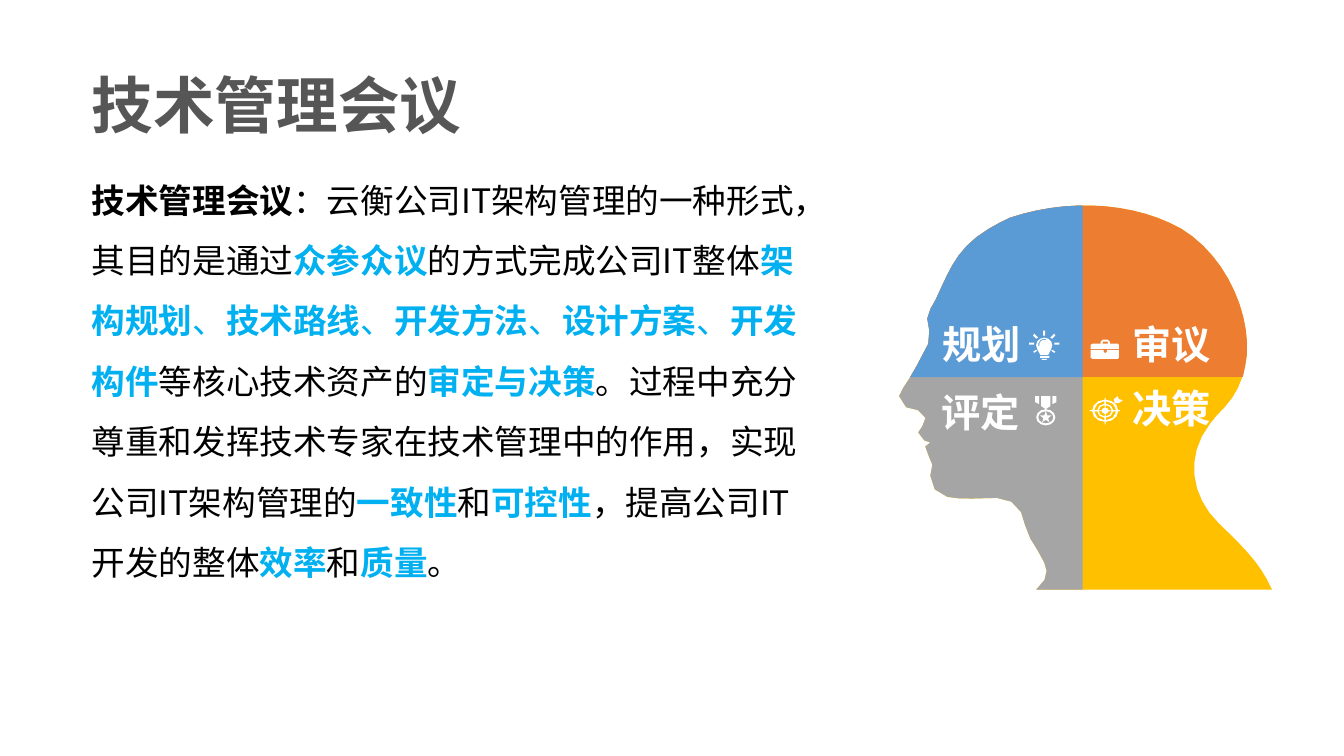
from math import cos, hypot, radians, sin

from lxml import etree
from pptx import Presentation
from pptx.dml.color import RGBColor
from pptx.enum.text import MSO_ANCHOR as Anchor, MSO_AUTO_SIZE as AutoSize, PP_ALIGN as Align
from pptx.oxml.ns import qn
from pptx.util import Pt

FONT = "Noto Sans CJK SC"
TITLE_GRAY = RGBColor(0x56, 0x56, 0x56)
BLACK = RGBColor(0, 0, 0)
WHITE = RGBColor(255, 255, 255)
HIGHLIGHT = RGBColor(0x00, 0xB0, 0xF0)
YELLOW = RGBColor(0xFF, 0xC0, 0x00)
GRAY = RGBColor(0xA5, 0xA5, 0xA5)
ORANGE = RGBColor(0xED, 0x7D, 0x31)
BLUE = RGBColor(0x5B, 0x9B, 0xD5)

presentation = Presentation()
presentation.slide_width, presentation.slide_height = Pt(960), Pt(540)
slide = presentation.slides.add_slide(presentation.slide_layouts[1])


def draw(contours, color):
    """Add one filled shape; contours are in hundredths of an inch."""
    builder = None
    for contour in contours:
        points = [(x * 72, y * 72) for x, y in contour]  # to hundredths of a point
        if builder is None:
            builder = slide.shapes.build_freeform(*points[0], scale=Pt(0.01))
        else:
            builder.move_to(*points[0])
        builder.add_line_segments(points[1:], close=True)
    shape = builder.convert_to_shape()
    shape.shadow.inherit = False
    shape.fill.solid()
    shape.fill.fore_color.rgb = color
    shape.line.fill.background()


def arc(center, radius_x, radius_y, start=0, end=360):
    """Points along an elliptic arc, with angles in degrees, clockwise."""
    steps = max(2, abs(end - start) // 30)
    angles = [radians(start + (end - start) * i / steps) for i in range(steps + 1)]
    return [(center[0] + radius_x * cos(a), center[1] + radius_y * sin(a)) for a in angles]


# Title and body
styled_runs = []
title = slide.shapes.title
title.left, title.top, title.width, title.height = Pt(58.32), Pt(43.92), Pt(280.8), Pt(60.48)
title.text_frame.text = "技术管理会议"
title.text_frame.word_wrap = False
title.text_frame.paragraphs[0].alignment = Align.LEFT
styled_runs.append((title.text_frame.paragraphs[0].runs[0], 44, TITLE_GRAY, True))

body = slide.placeholders[1]
body.left, body.top, body.width, body.height = Pt(58.32), Pt(110.16), Pt(519.12), Pt(312.48)
body.text_frame.word_wrap = True
paragraph = body.text_frame.paragraphs[0]
properties = paragraph._p.get_or_add_pPr()
properties.set("marL", "0")
properties.set("indent", "0")
etree.SubElement(properties, qn("a:buNone"))
paragraph.line_spacing = 1.5
paragraph.space_before = Pt(0)
for text, color, bold in [
    ("技术管理会议", BLACK, True),
    ("：云衡公司IT架构管理的一种形式，其目的是通过", BLACK, False),
    ("众参众议", HIGHLIGHT, True),
    ("的方式完成公司IT整体", BLACK, False),
    ("架构规划", HIGHLIGHT, True),
    ("、", HIGHLIGHT, False),
    ("技术路线", HIGHLIGHT, True),
    ("、", HIGHLIGHT, False),
    ("开发方法", HIGHLIGHT, True),
    ("、", HIGHLIGHT, False),
    ("设计方案", HIGHLIGHT, True),
    ("、", HIGHLIGHT, False),
    ("开发构件", HIGHLIGHT, True),
    ("等核心技术资产的", BLACK, False),
    ("审定与决策", HIGHLIGHT, True),
    ("。过程中充分尊重和发挥技术专家在技术管理中的作用，实现公司IT架构管理的", BLACK, False),
    ("一致性", HIGHLIGHT, True),
    ("和", BLACK, False),
    ("可控性", HIGHLIGHT, True),
    ("，提高公司IT开发的整体", BLACK, False),
    ("效率", HIGHLIGHT, True),
    ("和", BLACK, False),
    ("质量", HIGHLIGHT, True),
    ("。", BLACK, False),
]:
    run = paragraph.add_run()
    run.text = text
    styled_runs.append((run, 24, color, bold))
for placeholder in (title, body):
    placeholder.text_frame.auto_size = AutoSize.NONE
    placeholder.text_frame.vertical_anchor = Anchor.TOP

# Head outline: Bezier curves from the nape over the crown and down the face
HEAD_CURVES = [
    (1251, 560, 1235, 544, 1209, 519), (1181, 492, 1176, 452, 1200, 421),
    (1204, 415, 1209, 410, 1215, 404), (1229, 389, 1235, 371, 1237, 352),
    (1240, 308, 1215, 253, 1172, 227), (1124, 200, 1059, 197, 1002, 216),
    (995, 219, 988, 223, 981, 227), (949, 246, 942, 268, 928, 298),
    (925, 303, 921, 309, 920, 316), (918, 322, 920, 325, 922, 328),
    (924, 333, 924, 336, 921, 341), (913, 356, 906, 371, 896, 385),
    (894, 387, 892, 390, 892, 393), (891, 398, 894, 403, 899, 404),
    (903, 406, 907, 405, 911, 407), (921, 411, 919, 418, 915, 423),
    (913, 426, 911, 428, 911, 429), (911, 433, 912, 435, 917, 437),
    (918, 438, 921, 439, 923, 439), (921, 440, 919, 442, 918, 443),
    (913, 447, 917, 452, 922, 454), (925, 456, 927, 458, 925, 461),
    (923, 465, 923, 469, 923, 472), (923, 482, 929, 491, 940, 493),
    (954, 496, 975, 494, 989, 494), (1000, 495, 1008, 498, 1013, 508),
    (1015, 512, 1016, 516, 1017, 521), (1021, 537, 1030, 544, 1036, 558),
    (1040, 566, 1040, 575, 1028, 585),
]
head = [(1262, 585)]
for x1, y1, x2, y2, x3, y3 in HEAD_CURVES:
    x0, y0 = head[-1]
    steps = 1 + int(hypot(x3 - x0, y3 - y0) // 14)
    for step in range(1, steps + 1):
        t = step / steps
        weights = ((1 - t) ** 3, 3 * t * (1 - t) ** 2, 3 * t * t * (1 - t), t ** 3)
        head.append((sum(w * x for w, x in zip(weights, (x0, x1, x2, x3))),
                     sum(w * y for w, y in zip(weights, (y0, y1, y2, y3)))))

# Each layer keeps the head left of and above its limits, then adds the cut corners
MIDDLE, EYE_LINE, CROWN, BASE, RIGHT = 1074, 374, 204, 585, 1262
for color, right, bottom, corners in [
    (YELLOW, RIGHT, BASE, []),
    (GRAY, MIDDLE, BASE, [(MIDDLE, BASE), (MIDDLE, CROWN)]),
    (ORANGE, RIGHT, EYE_LINE, [(903, EYE_LINE), (1233, EYE_LINE)]),
    (BLUE, MIDDLE, EYE_LINE, [(903, EYE_LINE), (MIDDLE, EYE_LINE), (MIDDLE, CROWN)]),
]:
    draw([[(x, y) for x, y in head if x <= right and y <= bottom] + corners], color)

# Icons
bulb_center = (1036, 342.5)
bulb = [
    arc(bulb_center, 8, 7.5, 150, 390) + [(1040, 352), (1032, 352)],
    arc(bulb_center, 6, 6.5, 170, 290) + arc(bulb_center, 5, 5.5, 290, 170),
    [(1032, 353), (1041, 353), (1041, 355), (1032, 355)],
    [(1033, 356), (1039, 356), (1038, 357), (1034, 357)],
    [(1035, 328), (1037, 328), (1037, 333), (1035, 333)],
]
for side in (-1, 1):
    for ray in ([(10, 331), (11, 333), (8, 336), (6, 335)],
                [(7, 348), (10, 350), (11, 349), (8, 347)],
                [(10, 340), (15, 340), (15, 342), (10, 342)]):
        bulb.append([(1036 + side * x, y) for x, y in ray])

briefcase = [
    [(1082, 347), (1095, 347), (1095, 349), (1096, 350), (1097, 350), (1098, 349),
     (1098, 347), (1110, 347), (1110, 355), (1109, 356), (1084, 356), (1082, 355)],
    [(1082, 346), (1082, 342), (1084, 341), (1092, 341), (1092, 339), (1094, 337),
     (1099, 337), (1101, 339), (1101, 341), (1109, 341), (1110, 342), (1110, 346)],
    [(1094, 339), (1099, 339), (1099, 341), (1094, 341)],
]

target_center = (1096.5, 407.5)
target = [
    arc(target_center, 13, 11),
    [(1096, 395), (1097, 395), (1097, 396.5), (1096, 396.5)],
    [(1096, 418.5), (1097, 418.5), (1097, 421), (1096, 421)],
    [(1081, 407), (1083.5, 407), (1083.5, 408), (1081, 408)],
    [(1109.5, 407), (1111, 407), (1111, 408), (1109.5, 408)],
    [(1106, 400), (1105, 396), (1109, 393), (1110, 396), (1114, 397), (1110, 400)],
]
for quarter in range(0, 360, 90):
    for outer, inner in ((11, 8), (6.5, 3.5)):
        target.append(arc(target_center, outer, outer * 0.87, quarter + 5, quarter + 85)
                      + arc(target_center, inner, inner * 0.87, quarter + 85, quarter + 5))

medal_center = (1037.5, 414)
star = [arc(medal_center, radius, radius, -90 + 36 * i, -90 + 36 * i)[0]
        for i, radius in enumerate((6, 2.5) * 5)]
medal = [
    arc(medal_center, 9.5, 8), arc(medal_center, 7.5, 6), star,
    [(1027, 393), (1031, 393), (1031, 401), (1027, 399)],
    [(1033, 393), (1042, 393), (1042, 403), (1037.5, 406), (1033, 403)],
    [(1044, 393), (1048, 393), (1048, 399), (1044, 401)],
]
for icon in (bulb, briefcase, target, medal):
    draw(icon, WHITE)

# Labels
for text, left, top, width in [
    ("规划", 666, 228.96, 95.76),
    ("审议", 802.08, 228.96, 104.4),
    ("评定", 665.28, 277.92, 92.88),
    ("决策", 802.08, 275.04, 89.28),
]:
    label = slide.shapes.add_textbox(Pt(left), Pt(top), Pt(width), Pt(33.12))
    label.text_frame.text = text
    label.text_frame.word_wrap = True
    label.text_frame.vertical_anchor = Anchor.MIDDLE
    styled_runs.append((label.text_frame.paragraphs[0].runs[0], 28, WHITE, True))

for run, size, color, bold in styled_runs:
    run.font.size = Pt(size)
    run.font.bold = bold
    run.font.color.rgb = color
    run.font.name = FONT
    etree.SubElement(run._r.get_or_add_rPr(), qn("a:ea")).set("typeface", FONT)

presentation.save("out.pptx")
